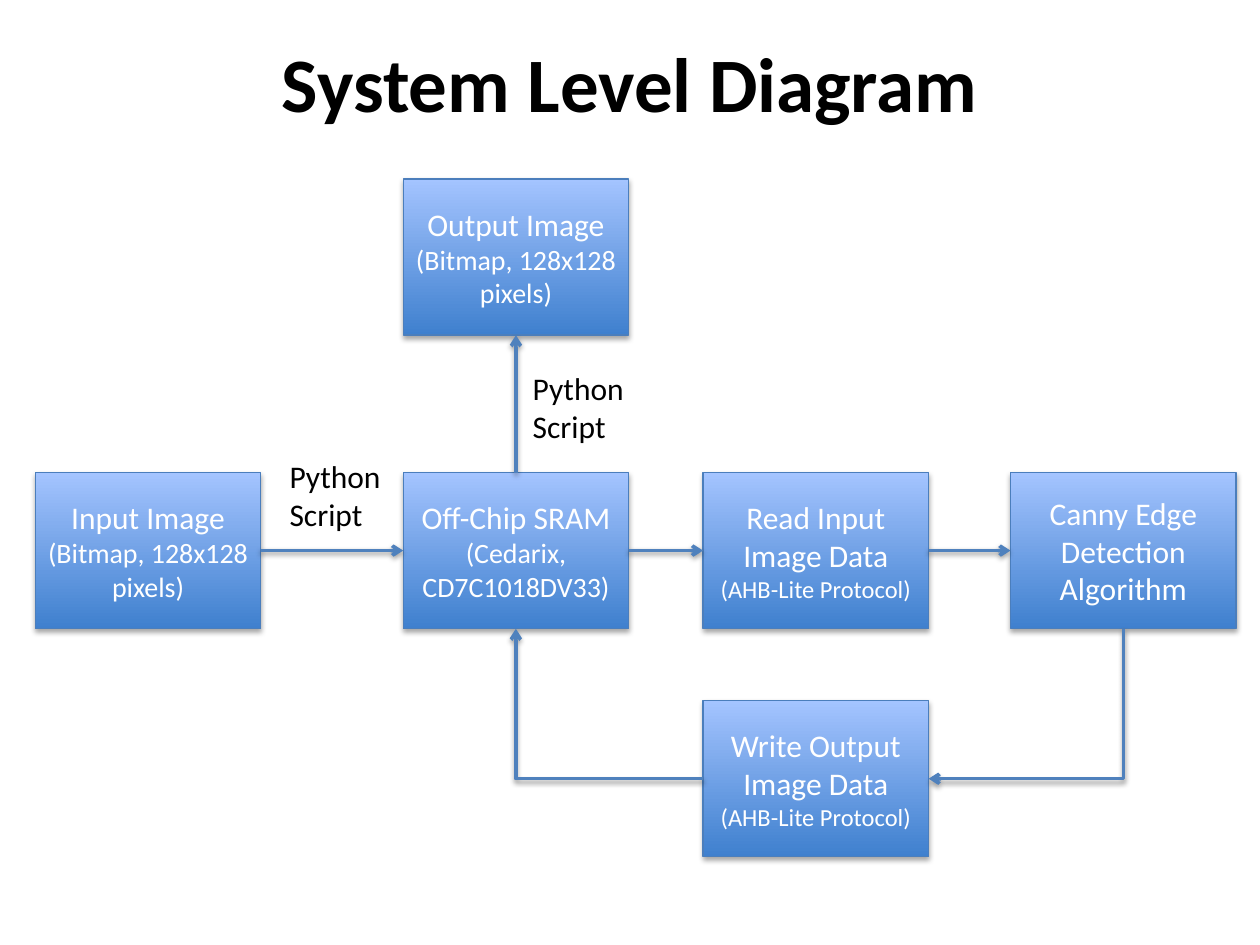
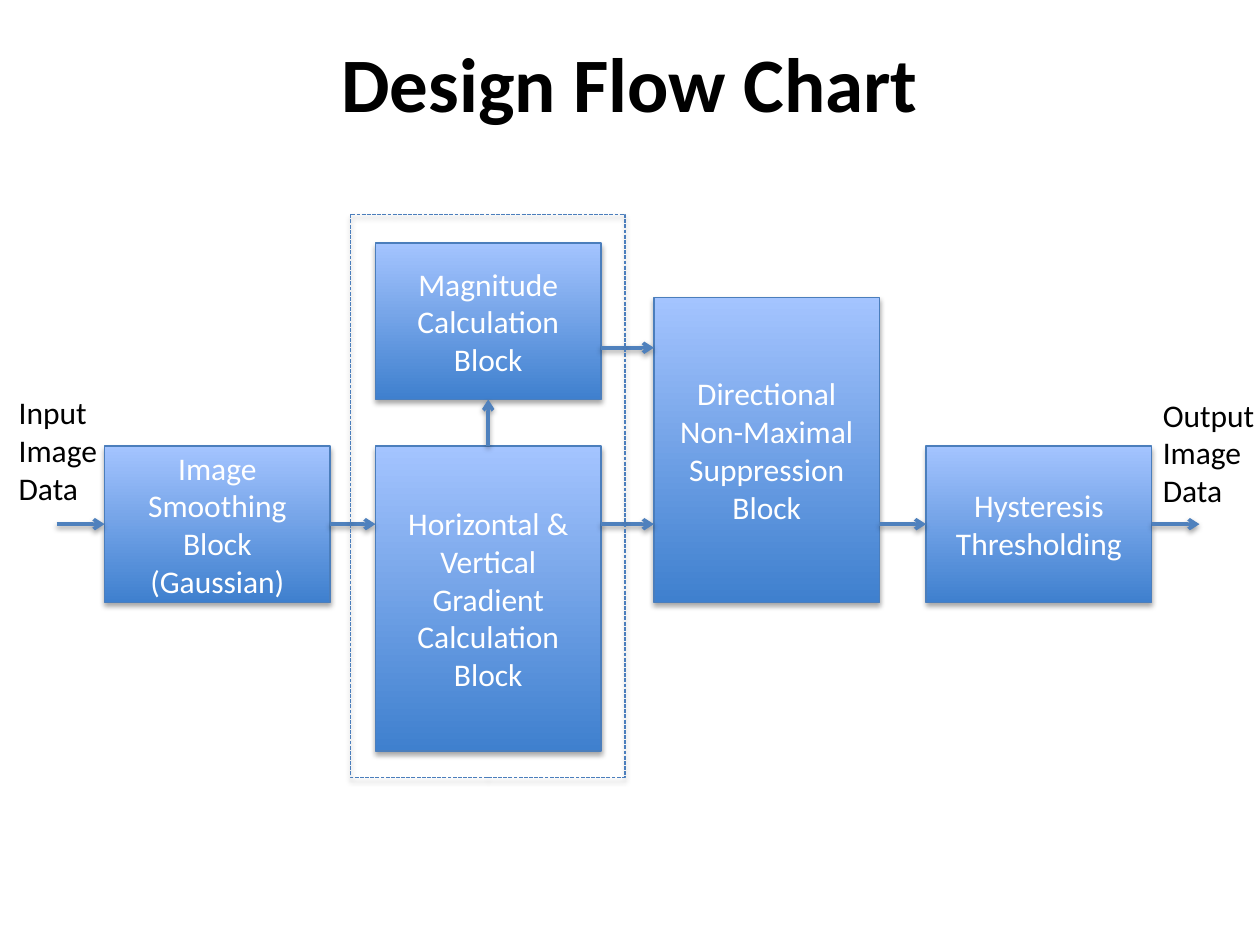
from lxml import etree
from pptx import Presentation
from pptx.dml.color import RGBColor
from pptx.enum.dml import MSO_LINE
from pptx.enum.shapes import MSO_CONNECTOR, MSO_SHAPE
from pptx.enum.text import MSO_ANCHOR, PP_ALIGN
from pptx.oxml.ns import qn
from pptx.util import Inches, Pt

RECTANGLE = MSO_SHAPE.RECTANGLE
STRAIGHT, ELBOW = MSO_CONNECTOR.STRAIGHT, MSO_CONNECTOR.ELBOW
LEFT, CENTER = PP_ALIGN.LEFT, PP_ALIGN.CENTER
MIDDLE = MSO_ANCHOR.MIDDLE
SHORT_DASH = MSO_LINE.SQUARE_DOT
TOP_SIDE, LEFT_SIDE, BOTTOM_SIDE, RIGHT_SIDE = range(4)

FONT = "Calibri"
BLACK, WHITE = "000000", "FFFFFF"
BLOCK_BOTTOM, BLOCK_TOP, OUTLINE, ARROW = "3F80CE", "A4C4FF", "4B7EBC", "4F81BD"
BLOCK_WIDTH, BLOCK_HEIGHT, TALL_HEIGHT = 1.79, 1.24, 2.42


def write_text(shape, lines, color, alignment, bold=False):
    """Fill a shape with one paragraph per (text, size) pair."""
    frame = shape.text_frame
    frame.word_wrap = True
    frame.text = "\n".join(text for text, size in lines)
    for paragraph, (text, size) in zip(frame.paragraphs, lines):
        paragraph.alignment = alignment
        font = paragraph.runs[0].font
        font.name, font.size, font.bold = FONT, Pt(size), bold
        font.color.rgb = RGBColor.from_string(color)


def finish_line(shape, color, width, distance, opacity):
    """Set the line of a shape or connector and the soft shadow below it."""
    shape.line.color.rgb = RGBColor.from_string(color)
    shape.line.width = Pt(width)
    effects = etree.SubElement(shape._element.spPr, qn("a:effectLst"))
    shadow = etree.SubElement(effects, qn("a:outerShdw"), blurRad=str(Pt(3.1)),
                              dist=str(Pt(distance)), dir="5400000", rotWithShape="0")
    shade = etree.SubElement(shadow, qn("a:srgbClr"), val=BLACK)
    etree.SubElement(shade, qn("a:alpha"), val=str(opacity * 1000))


# System diagram: blocks on a grid, arrows between block sides
system_columns = [0.28, 3.2, 5.58, 8.02]
system_rows = [1.42, 3.75, 5.56]
bitmap_line = ("(Bitmap, 128x128 pixels)", 16)
protocol_line = ("(AHB-Lite Protocol)", 14)
system_blocks = {
    "input": (0, 1, [("Input Image", 18), bitmap_line]),
    "memory": (1, 1, [("Off-Chip SRAM", 18), ("(Cedarix, CD7C1018DV33)", 16)]),
    "write": (2, 2, [("Write Output Image Data", 18), protocol_line]),
    "canny": (3, 1, [("Canny Edge Detection Algorithm", 18)]),
    "read": (2, 1, [("Read Input Image Data", 18), protocol_line]),
    "output": (1, 0, [("Output Image", 18), bitmap_line]),
}
system_arrows = [
    (STRAIGHT, "input", RIGHT_SIDE, "memory", LEFT_SIDE),
    (STRAIGHT, "memory", RIGHT_SIDE, "read", LEFT_SIDE),
    (STRAIGHT, "read", RIGHT_SIDE, "canny", LEFT_SIDE),
    (ELBOW, "canny", BOTTOM_SIDE, "write", RIGHT_SIDE),
    (ELBOW, "write", LEFT_SIDE, "memory", BOTTOM_SIDE),
    (STRAIGHT, "memory", TOP_SIDE, "output", BOTTOM_SIDE),
]
system_labels = [
    (2.2, 3.58, 0.96, 0.71, ["Python Script"]),
    (4.13, 2.88, 0.96, 0.71, ["Python Script"]),
]

# Design flow: the main row carries the data from left to right
flow_columns = [0.83, 2.98, 5.19, 7.35]
flow_ends = [left + BLOCK_WIDTH for left in flow_columns]
main_row, magnitude_row = 3.54, 1.93
main_level, magnitude_level = main_row + BLOCK_HEIGHT / 2, 2.76
gradient_center = flow_columns[1] + BLOCK_WIDTH / 2
flow_blocks = [
    (0, main_row, BLOCK_HEIGHT, "Image Smoothing Block (Gaussian)"),
    (1, magnitude_row, BLOCK_HEIGHT, "Magnitude Calculation Block"),
    (1, main_row, TALL_HEIGHT, "Horizontal & Vertical Gradient Calculation Block"),
    (2, main_row + BLOCK_HEIGHT - TALL_HEIGHT, TALL_HEIGHT,
     "Directional Non-Maximal Suppression Block"),
    (3, main_row, BLOCK_HEIGHT, "Hysteresis Thresholding"),
]
flow_arrows = [(end, main_level, start, main_level)
               for end, start in zip(flow_ends, flow_columns[1:])]
flow_arrows += [
    (gradient_center, main_row, gradient_center, magnitude_row + BLOCK_HEIGHT),
    (flow_ends[1], magnitude_level, flow_columns[2], magnitude_level),
    (0.45, main_level, flow_columns[0], main_level),
    (flow_ends[3], main_level, 9.52, main_level),
]
flow_labels = [
    (0.05, 3.07, 0.87, 1.01, ["Input Image", "Data"]),
    (9.13, 3.09, 1.02, 1.01, ["Output Image Data"]),
]

presentation = Presentation()
presentation.slide_width, presentation.slide_height = Inches(10), Inches(7.5)
blank_layout = presentation.slide_layouts[6]

# Titles and labels
slides = []
for title, labels in [("System Level Diagram", system_labels),
                      ("Design Flow Chart", flow_labels)]:
    slide = presentation.slides.add_slide(blank_layout)
    slides.append(slide)
    title_box = slide.shapes.add_textbox(*map(Inches, (0.5, 0.02, 9, 1.25)))
    title_box.text_frame.vertical_anchor = MIDDLE
    write_text(title_box, [(title, 44)], BLACK, CENTER, bold=True)
    for *area, lines in labels:
        label = slide.shapes.add_textbox(*map(Inches, area))
        write_text(label, [(line, 18) for line in lines], BLACK, LEFT)
system_slide, flow_slide = slides

# Blocks
block_plan = [(system_slide, name, system_columns[column], system_rows[row], BLOCK_HEIGHT, lines)
              for name, (column, row, lines) in system_blocks.items()]
block_plan += [(flow_slide, text, flow_columns[column], top, height, [(text, 18)])
               for column, top, height, text in flow_blocks]
blocks = {}
for slide, name, left, top, height, lines in block_plan:
    block = slide.shapes.add_shape(RECTANGLE, *map(Inches, (left, top, BLOCK_WIDTH, height)))
    block.fill.gradient()
    block.fill.gradient_angle = 90
    for stop, color in zip(block.fill.gradient_stops, (BLOCK_BOTTOM, BLOCK_TOP)):
        stop.color.rgb = RGBColor.from_string(color)
    finish_line(block, OUTLINE, 0.75, 1.8, 35)
    write_text(block, lines, WHITE, CENTER)
    blocks[name] = block

# Arrows
arrows = []
for kind, source, source_side, target, target_side in system_arrows:
    arrow = system_slide.shapes.add_connector(kind, 0, 0, 0, 0)
    arrow.begin_connect(blocks[source], source_side)
    arrow.end_connect(blocks[target], target_side)
    arrows.append(arrow)
    if kind == ELBOW:
        properties = arrow._element.spPr
        properties.find(qn("a:prstGeom")).set("prst", "bentConnector2")
        if source_side == BOTTOM_SIDE:
            # A quarter turn makes the elbow run down first, then left
            width, height = arrow.width, arrow.height
            arrow.left += (width - height) // 2
            arrow.top += (height - width) // 2
            arrow.width, arrow.height = height, width
            transform = properties.find(qn("a:xfrm"))
            transform.attrib.pop("flipH", None)
            transform.set("rot", "5400000")
for ends in flow_arrows:
    arrows.append(flow_slide.shapes.add_connector(STRAIGHT, *map(Inches, ends)))
for arrow in arrows:
    finish_line(arrow, ARROW, 2, 1.6, 38)
    etree.SubElement(arrow.line._get_or_add_ln(), qn("a:tailEnd"), type="arrow")

# Dashed frame around the gradient stage
gradient_frame = flow_slide.shapes.add_shape(RECTANGLE, *map(Inches, (2.78, 1.7, 2.18, 4.47)))
gradient_frame.fill.background()
finish_line(gradient_frame, OUTLINE, 0.75, 1.8, 35)
gradient_frame.line.dash_style = SHORT_DASH

presentation.save("out.pptx")
